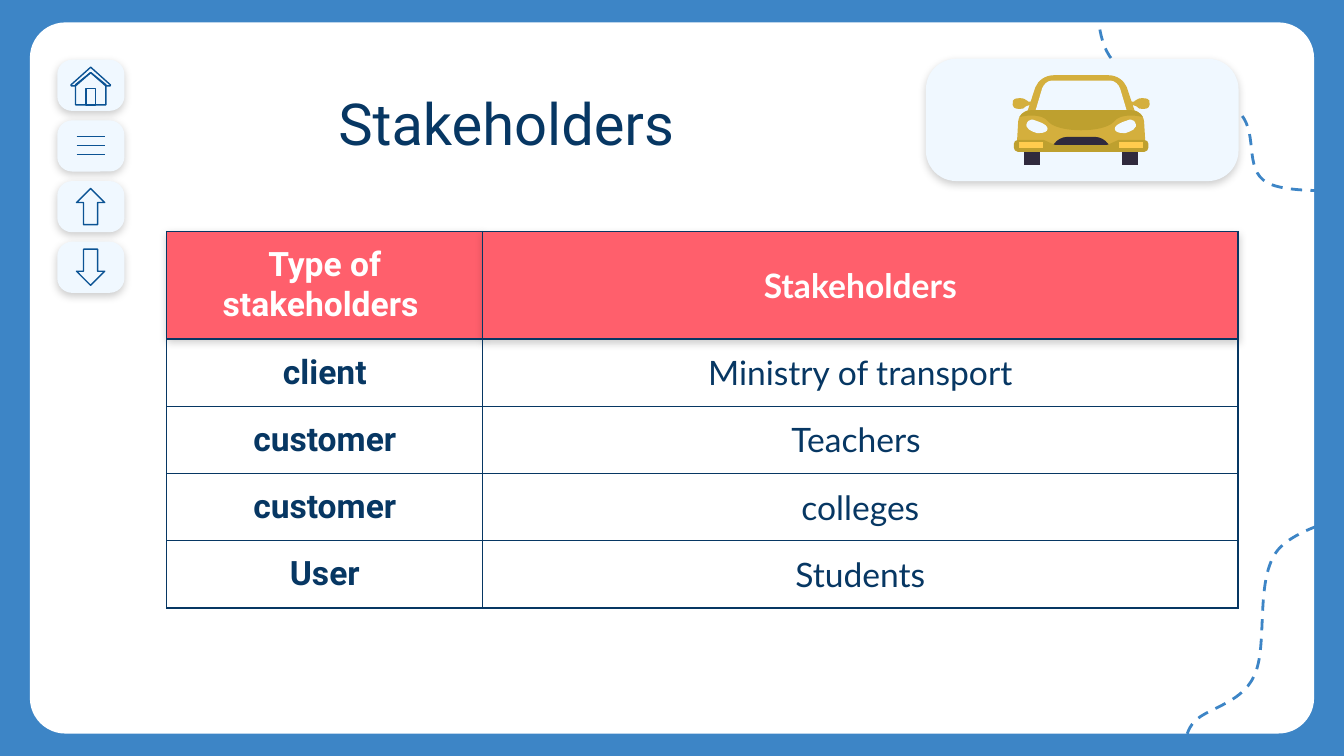
from pptx import Presentation
from pptx.dml.color import RGBColor
from pptx.enum.dml import MSO_LINE
from pptx.enum.shapes import MSO_CONNECTOR, MSO_SHAPE
from pptx.enum.text import MSO_ANCHOR, PP_ALIGN
from pptx.oxml import parse_xml
from pptx.oxml.ns import nsdecls, qn
from pptx.util import Pt

RECTANGLE, ROUNDED = MSO_SHAPE.RECTANGLE, MSO_SHAPE.ROUNDED_RECTANGLE
UP_ARROW, DOWN_ARROW = MSO_SHAPE.UP_ARROW, MSO_SHAPE.DOWN_ARROW
STRAIGHT, DASH = MSO_CONNECTOR.STRAIGHT, MSO_LINE.DASH
LEFT, CENTER = PP_ALIGN.LEFT, PP_ALIGN.CENTER
TOP, MIDDLE = MSO_ANCHOR.TOP, MSO_ANCHOR.MIDDLE

THEME = {
    "blue": "3D85C6", "white": "FFFFFF", "pale": "F0F8FF", "coral": "FF5F6C",
    "navy": "073763", "icon": "0B5394", "gold": "D4AF3D", "ochre": "BEA02F",
    "dark": "302A3D", "lamp": "FFCC4E",
    "heading": "Roboto", "body": "Lato", "title_size": 31, "table_size": 18,
}

TITLE = "Stakeholders"
ROWS = [
    ("Type of stakeholders ", "Stakeholders"),
    ("client", "Ministry of transport"),
    ("customer", "Teachers "),
    ("customer", "colleges"),
    ("User", "Students"),
]
TABLE_LEFT, TABLE_TOP = 89.4, 124
COLUMN_WIDTHS = [169.2, 404.6]
ROW_HEIGHTS = [27, 27, 18, 18, 27]
HEADER_HEIGHT = 58

DASHED_CURVES = [
    [(586.8, -5), (589, 1.4, 586.1, 23.8, 598.3, 34.6), (611.3, 45.4, 648.7, 48.2, 662.4, 59),
     (675.4, 69.1, 665.3, 90.7, 679, 97.9), (691.9, 105.1, 733, 100.8, 743.8, 101.5)],
    [(635.8, 414), (635.8, 409.7, 632.2, 396.7, 638.6, 388.1), (644.4, 379.4, 664.6, 378, 671.8, 362.2),
     (679.7, 346.3, 671.8, 310.3, 684.7, 294.5), (697.7, 279.4, 738, 273.6, 748.8, 269.3)],
]

CAR_CENTER = 579.2
CAR_PARTS = [
    ("pair", "dark", [(-30.6, 72), (-30.6, 88.6), (-22, 88.6), (-22, 72)]),
    ("whole", "gold", [(-14.4, 40.3), (-19.4, 40.3, -23, 43.2, -24.5, 46.8), (-28.8, 59.8)]),
    ("whole", "pale", [(-15.8, 43.2), (-18, 43.2, -20.2, 45.4, -20.9, 47.5), (-25.2, 61.9)]),
    ("whole", "gold", [(-26.6, 59), (-31, 59, -33.8, 61.9, -33.8, 66.2), (-34.6, 79.9)]),
    ("whole", "dark", [(-7.9, 73.4), (-10.1, 73.4, -13, 74.9, -14.4, 77), (-16.9, 79.2)]),
    ("whole", "ochre", [(-26.6, 59), (-29.5, 59, -31.7, 60.5, -33.1, 62.6),
                        (-32.4, 62.6, -29.5, 61.9, -26.6, 61.9), (-23, 61.9, -19.4, 62.6, -17.3, 65.5),
                        (-14.4, 68.4, -7.2, 69.8, 0, 69.8)]),
    ("pair", "pale", [(-26.6, 64.1), (-28.1, 64.1, -28.8, 65.5, -28.8, 65.5),
                      (-31, 69.1, -25.9, 70.6, -23.8, 71.3), (-22.3, 71.3),
                      (-20.2, 71.3, -18, 70.6, -18, 69.1), (-18, 66.2, -24.5, 64.8, -25.9, 64.1)]),
    ("whole", "ochre", [(-13.7, 77.8), (-20.2, 74.9), (-33.8, 74.9), (-35.3, 74.9, -36, 76.3, -36, 77),
                        (-36, 79.2), (-36, 79.9, -35.3, 81.4, -33.8, 81.4)]),
    ("pair", "lamp", [(-33.1, 76.3), (-33.1, 79.2), (-20.2, 79.2), (-20.2, 76.3)]),
    ("pair", "gold", [(-33.1, 52.6), (-37.4, 52.6, -36.7, 54.7, -36.7, 56.2),
                      (-36.7, 56.9, -36, 58.3, -33.8, 58.3), (-31.7, 58.3, -30.2, 58.3, -29.5, 56.9),
                      (-28.8, 56.2, -28.1, 56.2, -27.4, 56.2), (-26.6, 54),
                      (-26.6, 54.7, -28.8, 54.7, -28.8, 54), (-31, 53.3, -29.5, 52.6, -33.1, 52.6)]),
]

HOUSE_CENTER = 48.6
HOUSE_PARTS = [
    [(0, 38.9), (-8.1, 45.4), (-8.1, 56.2)],
    [(-2.5, 47.5), (-2.5, 56.2)],
    [(0, 36), (-10.6, 45.5), (-10.4, 46), (-8.1, 46), (0, 38.9)],
]

BUTTON_LEFT, BUTTON_TOP, BUTTON_STEP = 30.7, 32, 32.5
BUTTON_WIDTH, BUTTON_HEIGHT = 36, 27.4
ICON_LEFT, ICON_WIDTH = 41, 15.1


def color(name):
    return RGBColor.from_string(THEME[name])


def paint(shape, fill=None, line=None, width=0.75):
    shape.shadow.inherit = False
    if fill:
        shape.fill.solid()
        shape.fill.fore_color.rgb = color(fill)
    else:
        shape.fill.background()
    if line:
        shape.line.color.rgb = color(line)
        shape.line.width = Pt(width)
    else:
        shape.line.fill.background()


def add_box(shapes, kind, box, fill=None, line=None, radius=None, shadow=False):
    shape = shapes.add_shape(kind, *map(Pt, box))
    paint(shape, fill, line)
    if radius is not None:
        shape.adjustments[0] = radius
    if shadow:
        shape._element.spPr.find(qn("a:effectLst")).append(parse_xml(
            f'<a:outerShdw {nsdecls("a")} blurRad="{Pt(4.5)}" dist="{Pt(1.5)}" dir="5400000" '
            'algn="bl" rotWithShape="0"><a:srgbClr val="000000"><a:alpha val="20000"/>'
            '</a:srgbClr></a:outerShdw>'))


def mirror(segments):
    points = [(-s[i], s[i + 1]) for s in segments for i in range(0, len(s), 2)][::-1]
    mirrored, position = [points[0]], 1
    for segment in reversed(segments[1:]):
        count = len(segment) // 2
        mirrored.append(sum(points[position:position + count], ()))
        position += count
    return mirrored


def complete(half):
    other = mirror(half)
    if half[-1][-2:] == other[0]:
        other = other[1:]
    if other[-1] == half[0]:
        other = other[:-1]
    return half + other


def add_outline(shapes, segments, center=0, close=True, **style):
    places = [(Pt(s[i] + center), Pt(s[i + 1])) for s in segments for i in range(0, len(s), 2)]
    builder = shapes.build_freeform(*places[0], scale=1.0)
    builder.add_line_segments(places[1:], close=close)
    shape = builder.convert_to_shape()
    corners = iter(list(shape._element.iter(qn("a:lnTo"))))
    for segment in segments[1:]:
        corner = next(corners)
        if len(segment) == 6:
            curve = parse_xml(f'<a:cubicBezTo {nsdecls("a")}/>')
            corner.addprevious(curve)
            for control in (corner, next(corners), next(corners)):
                curve.append(control[0])
                control.getparent().remove(control)
    paint(shape, **style)
    return shape


def write_text(frame, text, size, font, fill, bold=False, align=LEFT, space_after=0):
    frame.word_wrap = True
    paragraph = frame.paragraphs[0]
    paragraph.alignment = align
    paragraph.space_after = Pt(space_after)
    run = paragraph.add_run()
    run.text = text
    run.font.size = Pt(size)
    run.font.name = THEME[font]
    run.font.bold = bold
    run.font.color.rgb = color(fill)


def add_stakeholder_table(shapes):
    for index, width in enumerate(COLUMN_WIDTHS):
        left = TABLE_LEFT + sum(COLUMN_WIDTHS[:index])
        add_box(shapes, RECTANGLE, (left, TABLE_TOP, width, HEADER_HEIGHT), "coral", shadow=True)
    table = shapes.add_table(len(ROWS), 2, *map(Pt, (
        TABLE_LEFT, TABLE_TOP, sum(COLUMN_WIDTHS), sum(ROW_HEIGHTS)))).table
    table.first_row = table.horz_banding = False
    for column, width in zip(table.columns, COLUMN_WIDTHS):
        column.width = Pt(width)
    for row_index, (row, height, texts) in enumerate(zip(table.rows, ROW_HEIGHTS, ROWS)):
        row.height = Pt(height)
        for column_index, (cell, text) in enumerate(zip(row.cells, texts)):
            cell.vertical_anchor = MIDDLE
            cell.margin_left = cell.margin_right = cell.margin_top = cell.margin_bottom = Pt(7.2)
            write_text(cell.text_frame, text, THEME["table_size"],
                       "body" if column_index else "heading", "navy" if row_index else "white",
                       bold=row_index == 0 or column_index == 0, align=CENTER,
                       space_after=16 * column_index)
            properties = cell._tc.get_or_add_tcPr()
            for side in ("lnL", "lnR", "lnT", "lnB"):
                properties.append(parse_xml(
                    f'<a:{side} {nsdecls("a")} w="{Pt(0.75)}"><a:solidFill>'
                    f'<a:srgbClr val="{THEME["navy"]}"/></a:solidFill></a:{side}>'))
            cell.fill.background()


def add_car(shapes):
    add_box(shapes, ROUNDED, (496, 31.5, 167.5, 65.5), "pale", radius=0.25, shadow=True)
    car = shapes.add_group_shape().shapes
    for mode, fill, segments in CAR_PARTS:
        outlines = [complete(segments)] if mode == "whole" else [segments, mirror(segments)]
        for outline in outlines:
            add_outline(car, outline, CAR_CENTER, fill=fill)


def add_navigation(shapes):
    tops = [BUTTON_TOP + BUTTON_STEP * index for index in range(4)]
    for top in tops:
        add_box(shapes, ROUNDED, (BUTTON_LEFT, top, BUTTON_WIDTH, BUTTON_HEIGHT), "pale",
                radius=0.29, shadow=True)
    house = shapes.add_group_shape().shapes
    for half in HOUSE_PARTS:
        add_outline(house, complete(half), HOUSE_CENTER, line="icon")
    menu = shapes.add_group_shape().shapes
    for index in range(3):
        y = tops[1] + 8.8 + 4.7 * index
        bar = menu.add_connector(STRAIGHT, *map(Pt, (ICON_LEFT, y, ICON_LEFT + ICON_WIDTH, y)))
        bar.line.color.rgb = color("icon")
        bar.line.width = Pt(0.75)
        bar._element.spPr.append(parse_xml(f'<a:effectLst {nsdecls("a")}/>'))
    for kind, top in zip((UP_ARROW, DOWN_ARROW), tops[2:]):
        add_box(shapes, kind, (ICON_LEFT, top + 4, ICON_WIDTH, 19.4), line="icon")


def main():
    presentation = Presentation()
    presentation.slide_width, presentation.slide_height = Pt(720), Pt(405)
    slide = presentation.slides.add_slide(presentation.slide_layouts[6])
    slide.background.fill.solid()
    slide.background.fill.fore_color.rgb = color("blue")
    shapes = slide.shapes
    add_box(shapes, ROUNDED, (16, 12, 688, 381), "white", radius=0.05)
    for segments in DASHED_CURVES:
        curve = add_outline(shapes, segments, close=False, line="blue", width=1.5)
        curve.line.dash_style = DASH
    title = shapes.add_textbox(*map(Pt, (174.2, 39.6, 573.8, 49.7))).text_frame
    title.margin_left = title.margin_right = title.margin_top = title.margin_bottom = Pt(7.2)
    title.vertical_anchor = TOP
    write_text(title, TITLE, THEME["title_size"], "heading", "navy")
    add_stakeholder_table(shapes)
    add_car(shapes)
    add_navigation(shapes)
    presentation.save("out.pptx")


if __name__ == "__main__":
    main()
